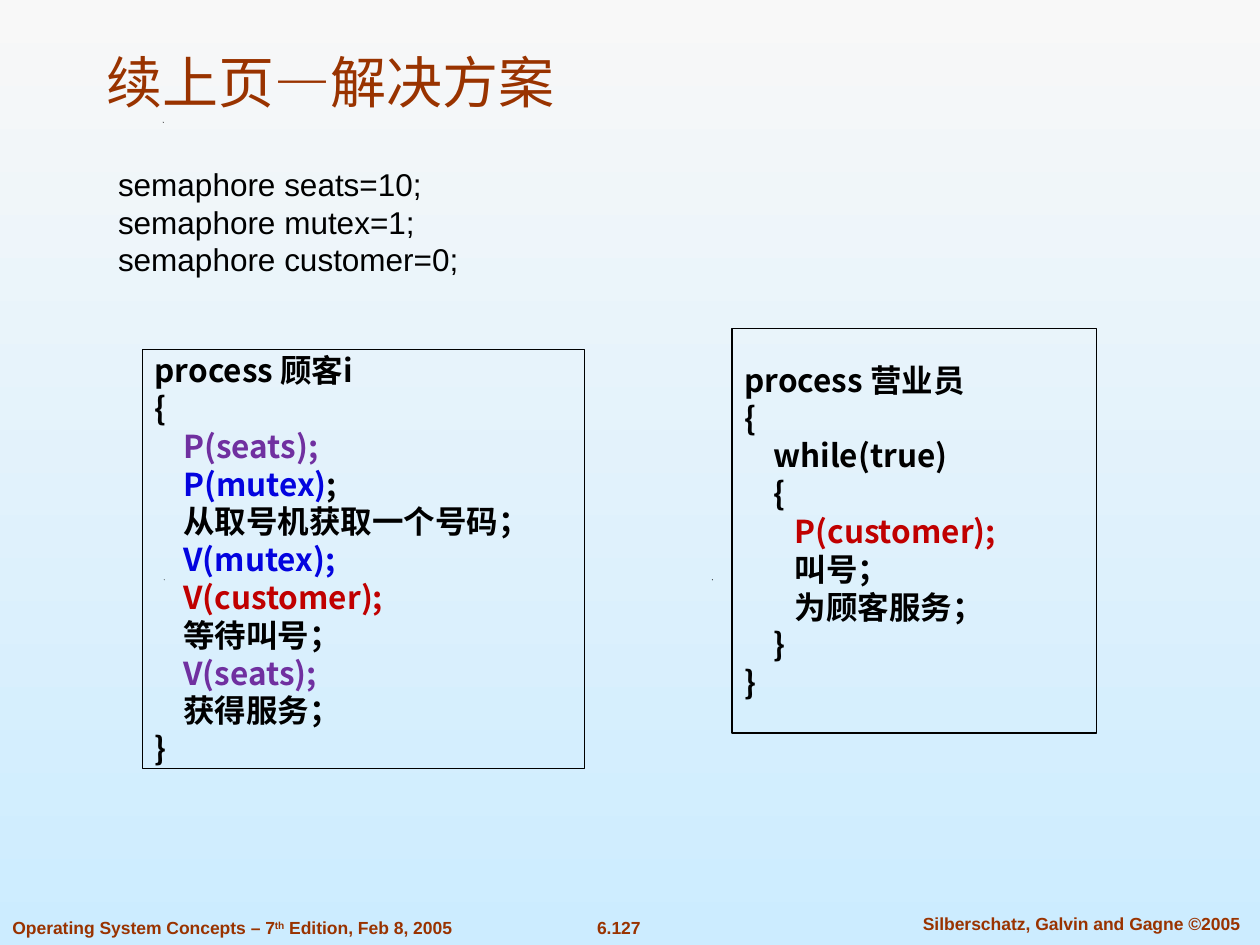
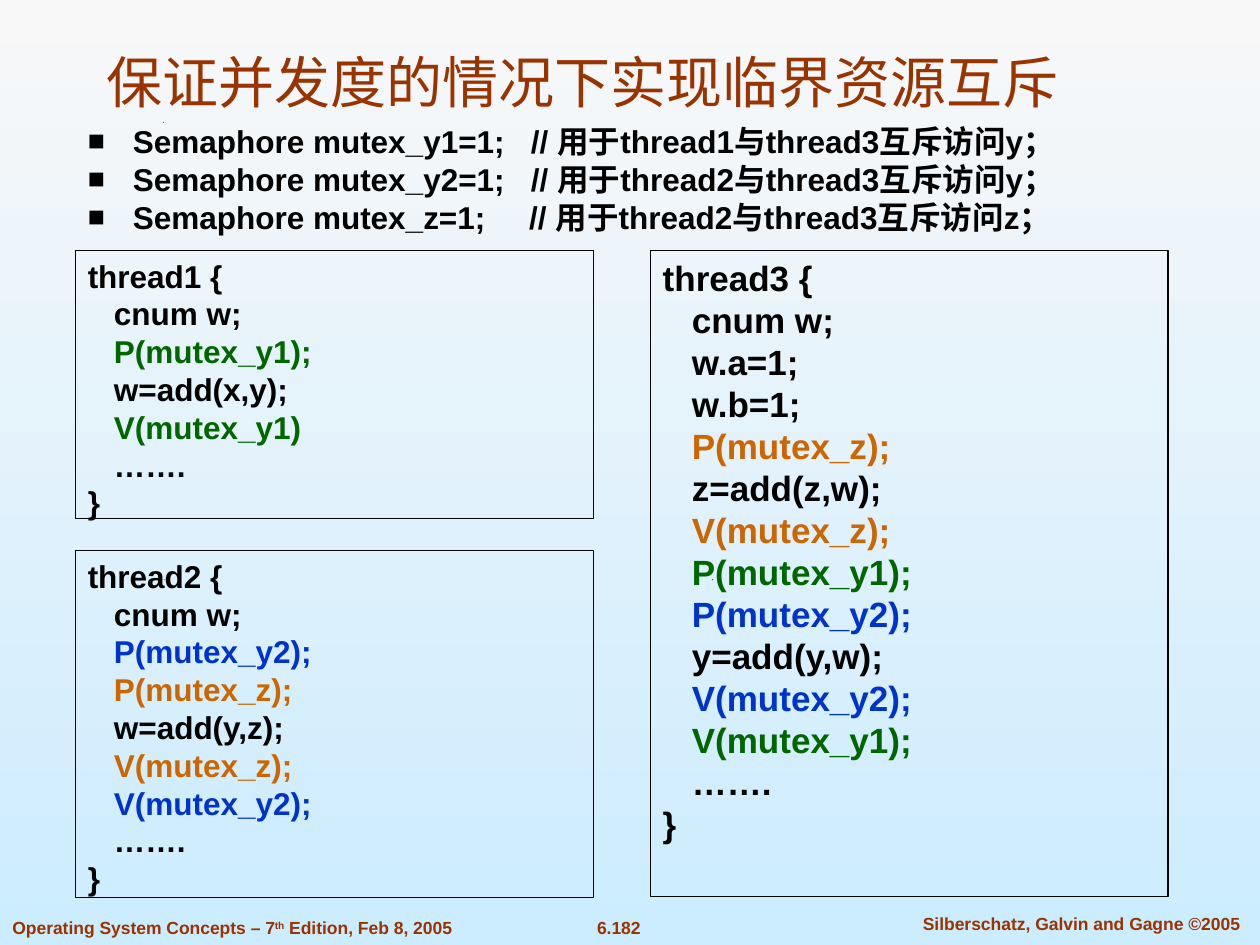
from lxml import etree
from pptx import Presentation
from pptx.dml.color import RGBColor
from pptx.enum import shapes, text
from pptx.oxml import ns
from pptx.util import Cm, Pt

BROWN = RGBColor(0x99, 0x33, 0x00)
BLACK = RGBColor(0x00, 0x00, 0x00)
PURPLE = RGBColor(0x70, 0x30, 0xA0)
BLUE = RGBColor(0x03, 0x03, 0xDF)
RED = RGBColor(0xC0, 0x00, 0x00)
GREEN = RGBColor(0x00, 0x66, 0x00)
ROYAL = RGBColor(0x00, 0x33, 0xCC)
AMBER = RGBColor(0xCC, 0x66, 0x00)
SKY = (RGBColor(0xF8, 0xF8, 0xF8), RGBColor(0xCC, 0xEC, 0xFF))

LATIN = "Arial"
HAN = "Noto Sans CJK SC"
LEFT = text.PP_ALIGN.LEFT
MID = text.PP_ALIGN.CENTER
SPECKS = [(4.47, 13.79), (3.3, 11.68), (14.35, 11.68), (3.28, 2.46)]


class Deck:
    def __init__(self):
        self.prs = Presentation()
        self.prs.slide_width, self.prs.slide_height = Cm(25.4), Cm(19.05)
        self.slide = None

    def page(self, title, number):
        self.slide = self.prs.slides.add_slide(self.prs.slide_layouts[6])
        fill = self.slide.background.fill
        fill.gradient()
        fill.gradient_angle = 270
        for stop, color in zip(fill.gradient_stops, SKY):
            stop.color.rgb = color
        for x, y in SPECKS:
            self.speck(x, y)
        self.note((11.66, 18.36, 1.63, 0.69), [number], MID)
        self.note((18.03, 18.29, 7.54, 0.69),
                  ["Silberschatz, Galvin and Gagne ©2005"], MID)
        runs = self.note((0, 18.36, 10.44, 0.69),
                         ["Operating System Concepts – 7", "th",
                          " Edition, Feb 8, 2005"], LEFT)
        runs[1]._r.get_or_add_rPr().set("baseline", "30000")
        frame = self.frame((1.9, 0.74, 22.43, 1.7))
        frame.vertical_anchor = text.MSO_ANCHOR.BOTTOM
        self.run(frame.paragraphs[0], title, 32, BROWN, False)

    def speck(self, x, y):
        pen = self.slide.shapes.build_freeform(Cm(x), Cm(y))
        pen.add_line_segments([(Cm(x + 0.02), Cm(y)),
                               (Cm(x + 0.02), Cm(y + 0.02))])
        dot = pen.convert_to_shape()
        dot.shadow.inherit = False
        dot.fill.solid()
        dot.fill.fore_color.rgb = BLACK
        dot.line.fill.background()

    def frame(self, area):
        frame = self.slide.shapes.add_textbox(*map(Cm, area)).text_frame
        frame.word_wrap = True
        return frame

    def run(self, para, words, size, color, bold, face=LATIN):
        run = para.add_run()
        run.text = words
        font = run.font
        font.name, font.size, font.bold = face, Pt(size), bold
        font.color.rgb = color
        east = etree.SubElement(run._r.get_or_add_rPr(), ns.qn("a:ea"))
        east.set("typeface", HAN)
        return run

    def note(self, area, parts, align):
        para = self.frame(area).paragraphs[0]
        para.alignment = align
        return [self.run(para, part, 10, BROWN, True) for part in parts]

    def rows(self, frame, lines, size):
        for i, line in enumerate(lines):
            para = frame.add_paragraph() if i else frame.paragraphs[0]
            para.alignment = LEFT
            para.line_spacing = Pt(size * 1.2)
            yield para, line

    def body(self, area, lines, bold=False, mark=None):
        for para, line in self.rows(self.frame(area), lines, 18):
            if mark:
                self.bullet(para, mark)
            self.run(para, line, 18, BLACK, bold)

    def bullet(self, para, mark):
        props = para._p.get_or_add_pPr()
        props.set("marL", str(Cm(0.91)))
        props.set("indent", str(-Cm(0.91)))
        for tag, key, value in (("a:buSzPct", "val", "90000"),
                                ("a:buFont", "typeface", LATIN),
                                ("a:buChar", "char", mark)):
            etree.SubElement(props, ns.qn(tag)).set(key, value)

    def code(self, area, lines, hues, size=18, face=LATIN,
             anchor=text.MSO_ANCHOR.TOP):
        box = self.slide.shapes.add_shape(
            shapes.MSO_SHAPE.RECTANGLE, *map(Cm, area))
        box.shadow.inherit = False
        box.fill.background()
        box.line.color.rgb = BLACK
        box.line.width = Pt(0.75)
        box.text_frame.word_wrap = True
        box.text_frame.vertical_anchor = anchor
        for para, line in self.rows(box.text_frame, lines, size):
            head, _, tail = line.partition("|")
            color = BLACK
            if head.strip().startswith(("P(", "V(")):
                color = hues[head[head.index("(") + 1:head.index(")")]]
            self.run(para, head, size, color, True, face)
            if tail:
                self.run(para, tail, size, BLACK, True, face)


def seats(deck):
    deck.page("续上页—解决方案", "6.127")
    deck.body((2.13, 3.2, 20.93, 3.35),
              ["semaphore seats=10;", "semaphore mutex=1;",
               "semaphore customer=0;"])
    hues = {"seats": PURPLE, "mutex": BLUE, "customer": RED}
    guest = ["process 顾客i", "{", "    P(seats);", "    P(mutex)|;",
             "    从取号机获取一个号码；", "    V(mutex);",
             "    V(customer);", "    等待叫号；", "    V(seats);",
             "    获得服务；", "}"]
    clerk = ["process 营业员", "{", "    while(true)", "    {",
             "       P(customer);", "       叫号；",
             "       为顾客服务；", "    }", "}"]
    for area, lines in (((2.87, 7.04, 8.92, 8.46), guest),
                        ((14.76, 6.63, 7.34, 8.15), clerk)):
        deck.code(area, lines, hues, face=HAN,
                  anchor=text.MSO_ANCHOR.MIDDLE)


def threads(deck):
    deck.page("保证并发度的情况下实现临界资源互斥", "6.182")
    deck.body((1.52, 2.34, 23.88, 2.49),
              ["Semaphore mutex_y1=1;   // 用于thread1与thread3互斥访问y；",
               "Semaphore mutex_y2=1;   // 用于thread2与thread3互斥访问y；",
               "Semaphore mutex_z=1;     // 用于thread2与thread3互斥访问z；"],
              True, "■")
    hues = {"mutex_y1": GREEN, "mutex_y2": ROYAL, "mutex_z": AMBER}
    jobs = [
        ((1.52, 5.05, 10.44, 5.41), 18,
         ["P(mutex_y1);", "w=add(x,y);", "V(mutex_y1)"]),
        ((1.52, 11.1, 10.44, 6.99), 18,
         ["P(mutex_y2);", "P(mutex_z);", "w=add(y,z);",
          "V(mutex_z);", "V(mutex_y2);"]),
        ((13.11, 5.05, 10.44, 13.03), 20,
         ["w.a=1;", "w.b=1;", "P(mutex_z);", "z=add(z,w);",
          "V(mutex_z);", "P(mutex_y1);", "P(mutex_y2);", "y=add(y,w);",
          "V(mutex_y2);", "V(mutex_y1);"]),
    ]
    for i, (area, size, steps) in enumerate(jobs, 1):
        inner = ["   " + step for step in ["cnum w;", *steps, "……."]]
        deck.code(area, [f"thread{i} {{", *inner, "}"], hues, size)


def main():
    deck = Deck()
    seats(deck)
    threads(deck)
    deck.prs.save("out.pptx")


if __name__ == "__main__":
    main()
